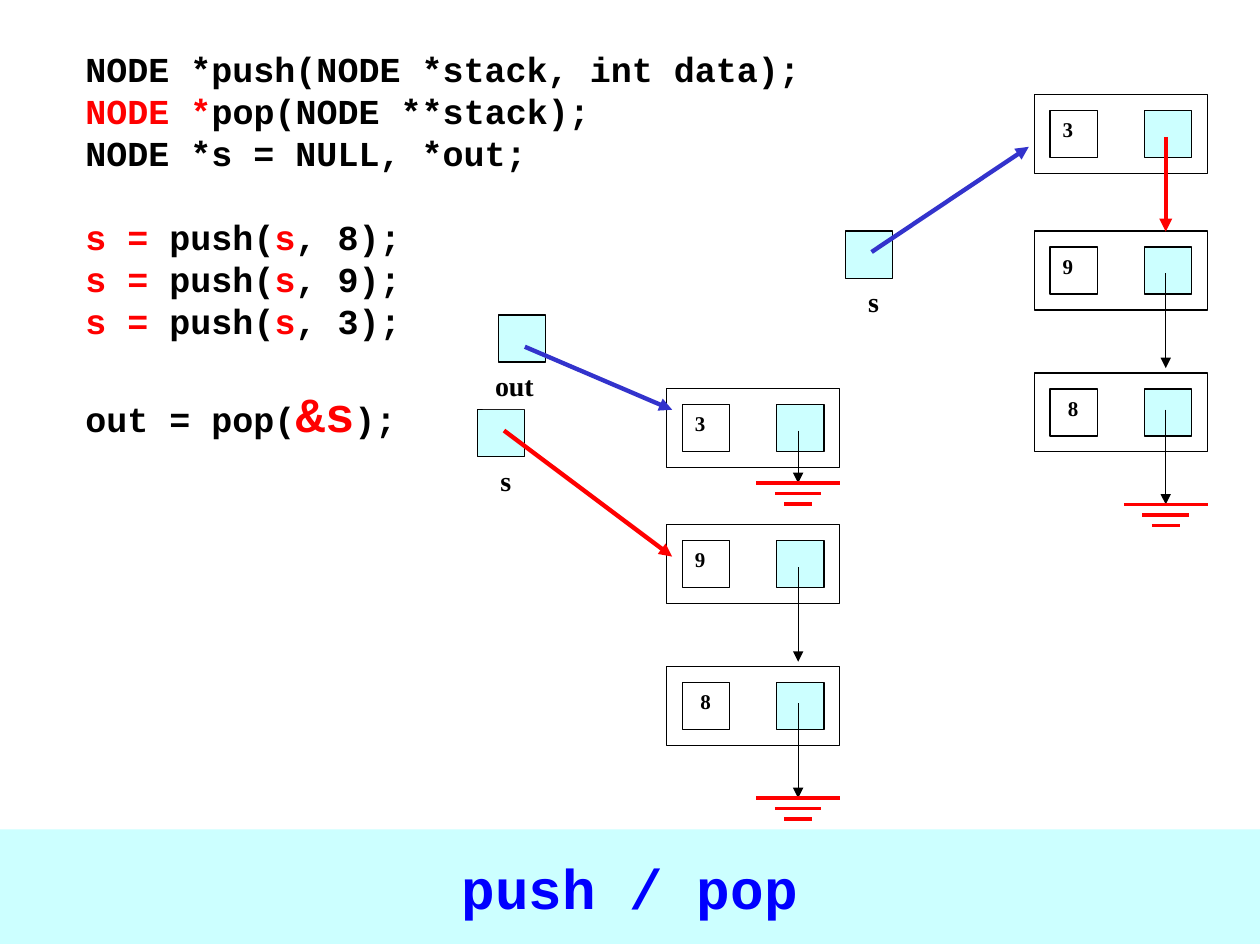
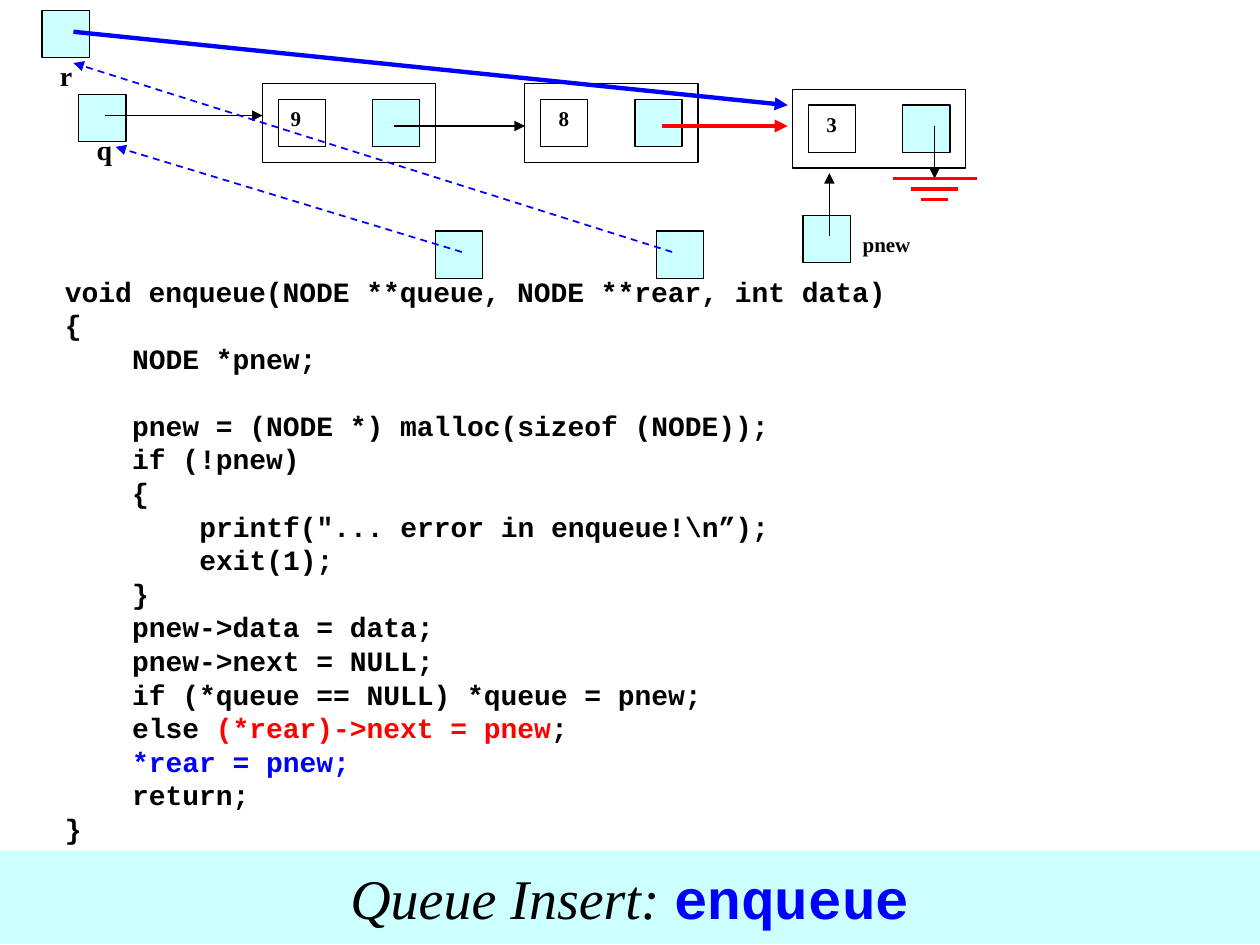
from dataclasses import dataclass

from lxml.etree import SubElement
from pptx import Presentation
from pptx.dml.color import RGBColor
from pptx.enum.dml import MSO_LINE
from pptx.enum.shapes import MSO_CONNECTOR, MSO_SHAPE
from pptx.enum.text import MSO_ANCHOR, PP_ALIGN
from pptx.oxml.ns import qn
from pptx.util import Cm, Pt


@dataclass(frozen=True)
class Theme:
    black: str = "000000"
    white: str = "FFFFFF"
    pale: str = "CCFFFF"
    red: str = "FF0000"
    blue: str = "0000FF"
    indigo: str = "3333CC"
    mono: str = "Courier New"
    serif: str = "Times New Roman"
    title: int = 32
    emphasis: int = 28
    code: int = 20
    small_code: int = 16
    label: int = 16
    value: int = 12
    thin: float = 0.75
    dashed: float = 1
    ground: float = 2
    thick: float = 2.5


THEME = Theme()
PAGE_WIDTH, PAGE_HEIGHT = 25.4, 19.05
NODE_WIDTH, NODE_HEIGHT = 3.49, 1.59
CELL, CELL_MARGIN, NEXT_LEFT = 0.95, 0.32, 2.22
POINTER_X, POINTER_Y, POINTER_LENGTH = 2.65, 0.85, 1.91
NODE_TOPS = (0, 2.75, 5.61)
POINTER_STEP = 2.75
GROUND_WIDTHS, GROUND_STEP = (1.69, 0.94, 0.56), 0.21
LINE_RATIO = 1.2


def rgb(color):
    return RGBColor.from_string(color)


def style(font, size, name=THEME.serif, color=THEME.black, bold=True, italic=False):
    font.size, font.name = Pt(size), name
    font.bold, font.italic = bold, italic
    font.color.rgb = rgb(color)


def add_box(page, left, top, width, height, fill, outlined=True):
    box = page.shapes.add_shape(
        MSO_SHAPE.RECTANGLE, Cm(left), Cm(top), Cm(width), Cm(height))
    box.shadow.inherit = False
    box.fill.solid()
    box.fill.fore_color.rgb = rgb(fill)
    if outlined:
        box.line.color.rgb = rgb(THEME.black)
        box.line.width = Pt(THEME.thin)
    else:
        box.line.fill.background()
    return box


def write(box, text, size, inset=0.25):
    frame = box.text_frame
    frame.word_wrap = True
    frame.vertical_anchor = MSO_ANCHOR.TOP
    frame.margin_left = Cm(inset)
    para = frame.paragraphs[0]
    para.alignment = PP_ALIGN.LEFT
    para.text = text
    style(para.font, size)


def add_line(page, start, end, color=THEME.black, width=THEME.thin, arrow=True, dashed=False):
    points = [Cm(value) for value in (*start, *end)]
    line = page.shapes.add_connector(MSO_CONNECTOR.STRAIGHT, *points)
    line.line.color.rgb = rgb(color)
    line.line.width = Pt(width)
    if dashed:
        line.line.dash_style = MSO_LINE.DASH
    if arrow:
        SubElement(line.line._get_or_add_ln(), qn("a:tailEnd"), type="triangle")
    SubElement(line._element.spPr, qn("a:effectLst"))


def add_pointer_cell(page, left, top):
    add_box(page, left, top, CELL, CELL, THEME.pale)


def add_node(page, left, top, value, inset=0.25):
    add_box(page, left, top, NODE_WIDTH, NODE_HEIGHT, THEME.white)
    add_pointer_cell(page, left + NEXT_LEFT, top + CELL_MARGIN)
    cell = add_box(page, left + CELL_MARGIN, top + CELL_MARGIN, CELL, CELL, THEME.white)
    write(cell, value, THEME.value, inset)


def add_ground(page, center, top):
    for row, width in enumerate(GROUND_WIDTHS):
        level = top + row * GROUND_STEP
        add_line(page, (center - width / 2, level), (center + width / 2, level),
                 THEME.red, THEME.ground, arrow=False)


def add_variable(page, left, top, name, label_at=(-0.32, 0.95), width=1.9,
                 inset=0.25, size=THEME.label):
    label = add_box(page, left + label_at[0], top + label_at[1], width, CELL,
                    THEME.white, outlined=False)
    write(label, name, size, inset)
    add_pointer_cell(page, left, top)


def add_stack(page, left, top, popped):
    for offset, value, inset in zip(NODE_TOPS, "398", (0.25, 0.25, 0.36)):
        add_node(page, left, top + offset, value, inset)
    center = left + POINTER_X
    for row in range(len(NODE_TOPS)):
        start = top + POINTER_Y + row * POINTER_STEP
        if row:
            add_line(page, (center, start), (center, start + POINTER_LENGTH))
        elif popped:
            add_line(page, (center, start), (center, start + 1.06))
            add_ground(page, center, start + 1.06)
        else:
            add_line(page, (center, start), (center, start + POINTER_LENGTH),
                     THEME.red, THEME.thick)
    add_ground(page, center, start + POINTER_LENGTH)


def add_code(page, left, top, width, height, size, lines):
    box = page.shapes.add_textbox(Cm(left), Cm(top), Cm(width), Cm(height))
    frame = box.text_frame
    frame.word_wrap = True
    para, gap = None, False
    for line in lines:
        if line is None:
            gap = True
            continue
        para = frame.add_paragraph() if para else frame.paragraphs[0]
        level, *spans = line
        indent = Pt(level * 4 * 0.6 * size)
        para._p.get_or_add_pPr().set("marL", str(int(indent)))
        if gap:
            para.space_before = Pt(size * LINE_RATIO)
            gap = False
        style(para.font, size, THEME.mono)
        for text, color, span_size in spans:
            span = para.add_run()
            span.text = text
            style(span.font, span_size or size, THEME.mono, color)


def plain(text):
    return text, THEME.black, None


def red(text, size=None):
    return text, THEME.red, size


def add_title_band(page, top, height, spans):
    band = add_box(page, 0, top, PAGE_WIDTH, height, THEME.pale, outlined=False)
    frame = band.text_frame
    frame.word_wrap = False
    frame.vertical_anchor = MSO_ANCHOR.MIDDLE
    para = frame.paragraphs[0]
    para.alignment = PP_ALIGN.CENTER
    for text, is_code in spans:
        span = para.add_run()
        span.text = text
        if is_code:
            style(span.font, THEME.title, THEME.mono, THEME.blue)
        else:
            style(span.font, THEME.title, bold=False, italic=True)


def build_push_pop(page):
    pushes = [(0, red("s = "), plain("push("), red("s"), plain(f", {value});"))
              for value in (8, 9, 3)]
    add_code(page, 1.47, 0.84, 15.04, 8.23, THEME.code, [
        (0, plain("NODE *push(NODE *stack, int data);")),
        (0, red("NODE *"), plain("pop(NODE **stack);")),
        (0, plain("NODE *s = NULL, *out;")),
        None,
        *pushes,
        None,
        (0, plain("out = pop("), red("&s", THEME.emphasis), plain(");")),
    ])
    add_variable(page, 9.63, 8.26, "s", width=2.33, inset=0.78)
    add_stack(page, 13.44, 7.83, popped=True)
    add_variable(page, 10.05, 6.35, "out")
    add_line(page, (10.58, 6.99), (13.55, 8.26), THEME.indigo, THEME.thick)
    add_line(page, (10.16, 8.68), (13.55, 11.22), THEME.red, THEME.thick)
    add_title_band(page, 16.72, 2.31, [("push / pop", True)])
    add_variable(page, 17.04, 4.66, "s", inset=0.78)
    add_line(page, (17.57, 5.08), (20.74, 2.96), THEME.indigo, THEME.thick)
    add_stack(page, 20.85, 1.91, popped=False)


def build_enqueue(page):
    add_code(page, 1.06, 5.4, 18.2, 12.45, THEME.small_code, [
        (0, plain("void enqueue(NODE **queue, NODE **rear, int data)")),
        (0, plain("{")),
        (1, plain("NODE *pnew;")),
        None,
        (1, plain("pnew = (NODE *) malloc(sizeof (NODE));")),
        (1, plain("if (!pnew)")),
        (1, plain("{")),
        (2, plain("printf(\"... error in enqueue!\\n”);")),
        (2, plain("exit(1);")),
        (1, plain("}")),
        (1, plain("pnew->data = data;")),
        (1, plain("pnew->next = NULL;")),
        (1, plain("if (*queue == NULL) *queue = pnew;")),
        (1, plain("else "), red("(*rear)->next = pnew"), plain(";")),
        (1, ("*rear = pnew;", THEME.blue, None)),
        (1, plain("return;")),
        (0, plain("}")),
    ])
    add_variable(page, 0.85, 0.21, "r", (0.11, 0.85), 0.85)
    add_variable(page, 1.59, 1.91, "q", (0.11, 0.64), 0.64)
    add_node(page, 5.29, 1.69, "9")
    add_node(page, 10.58, 1.69, "8", 0.36)
    add_line(page, (2.12, 2.33), (5.29, 2.33))
    add_line(page, (7.94, 2.54), (10.58, 2.54))
    add_line(page, (13.34, 2.54), (15.88, 2.54), THEME.red, THEME.thick)
    for left, start, end in ((8.78, (9.31, 5.08), (2.33, 2.96)),
                             (13.23, (13.55, 5.08), (1.48, 1.27))):
        add_pointer_cell(page, left, 4.66)
        add_line(page, start, end, THEME.blue, THEME.dashed, dashed=True)
    add_node(page, 15.98, 1.8, "3", 0.36)
    add_variable(page, 16.19, 4.34, "pnew", (CELL, 0.21), size=THEME.value)
    add_line(page, (16.72, 4.76), (16.72, 3.49))
    add_ground(page, 18.84, 3.6)
    add_line(page, (18.84, 2.54), (18.84, 3.6))
    add_title_band(page, 17.15, 1.88, [("Queue Insert: ", False), ("enqueue", True)])
    add_line(page, (1.48, 0.64), (15.88, 2.12), THEME.blue, THEME.thick)


def main():
    deck = Presentation()
    deck.slide_width, deck.slide_height = Cm(PAGE_WIDTH), Cm(PAGE_HEIGHT)
    for build in (build_push_pop, build_enqueue):
        build(deck.slides.add_slide(deck.slide_layouts[6]))
    deck.save("out.pptx")


if __name__ == "__main__":
    main()
